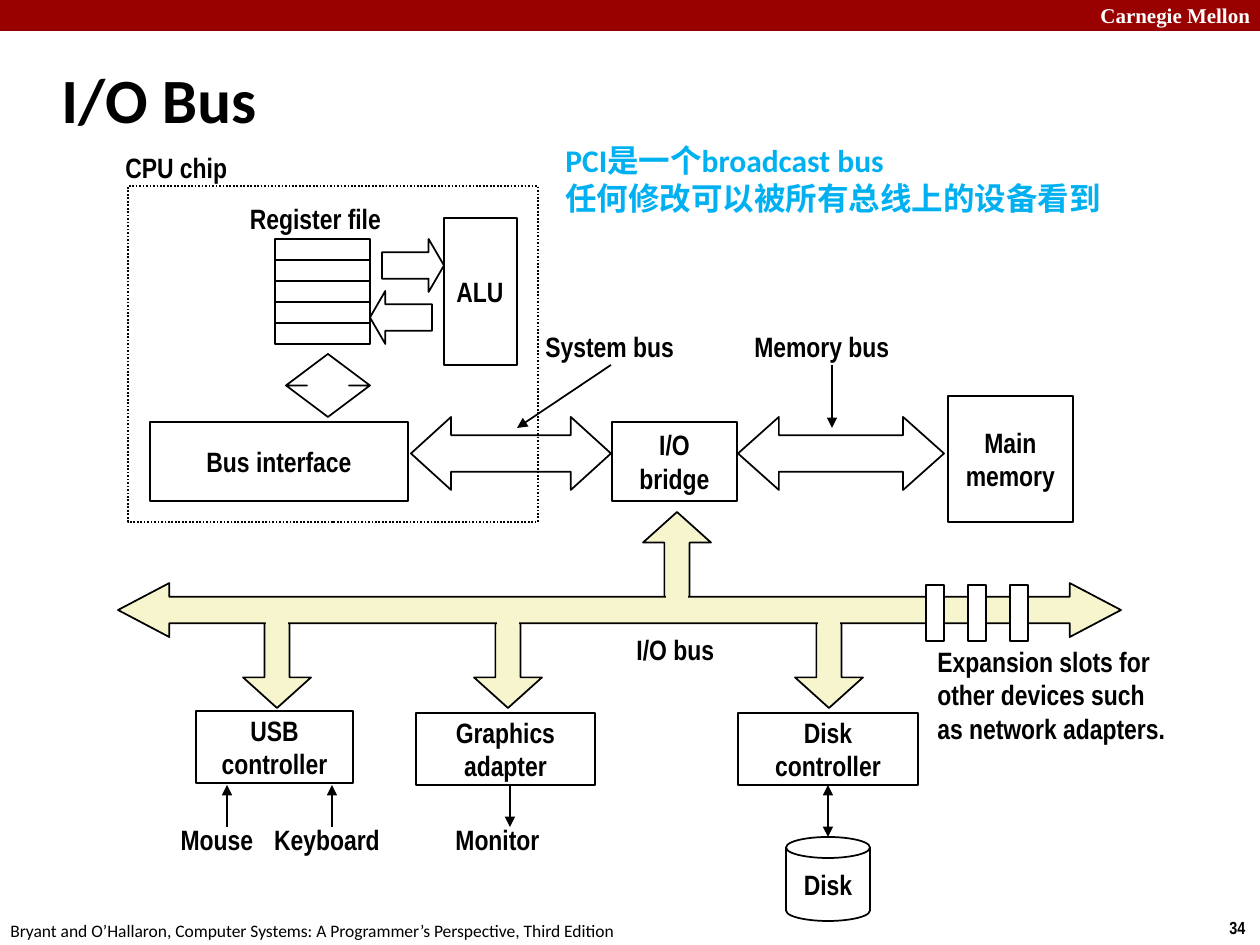
from lxml.etree import SubElement
from pptx import Presentation
from pptx.dml.color import RGBColor
from pptx.enum.dml import MSO_LINE
from pptx.enum.shapes import MSO_CONNECTOR, MSO_SHAPE
from pptx.enum.text import MSO_ANCHOR, PP_ALIGN
from pptx.oxml.ns import qn
from pptx.util import Emu, Pt

PX_PER_INCH = 126
COLORS = {
    "banner": "990000",
    "bus": "F7F5CD",
    "note": "00B0F0",
    "black": "000000",
    "white": "FFFFFF",
}


def px(length):
    return Emu(round(length * 914400 / PX_PER_INCH))


def color(name):
    return RGBColor.from_string(COLORS[name])


def write(frame, text, size=16, font="Arial Narrow", ink="black", bold=True,
          align=PP_ALIGN.LEFT, anchor=MSO_ANCHOR.MIDDLE, wrap=False):
    """Fill a text frame with one paragraph per line of text."""
    frame.word_wrap = wrap
    frame.vertical_anchor = anchor
    for number, line in enumerate(text.split("\n")):
        para = frame.add_paragraph() if number else frame.paragraphs[0]
        para.text = line
        para.alignment = align
        para.font.size = Pt(size)
        para.font.name = font
        para.font.bold = bold
        para.font.color.rgb = color(ink)


def add_label(page, text, left, top, width, height=46, **style):
    box = page.shapes.add_textbox(px(left), px(top), px(width), px(height))
    write(box.text_frame, text, **style)


def add_shape(page, kind, left, top, width, height, fill=None, outline=True,
              adjust=(), text=None, align=PP_ALIGN.CENTER):
    shape = page.shapes.add_shape(kind, px(left), px(top), px(width), px(height))
    shape.shadow.inherit = False
    for number, value in enumerate(adjust):
        shape.adjustments[number] = value
    if fill:
        shape.fill.solid()
        shape.fill.fore_color.rgb = color(fill)
    else:
        shape.fill.background()
    if outline:
        shape.line.color.rgb = color("black")
        shape.line.width = Pt(1)
    else:
        shape.line.fill.background()
    if text:
        write(shape.text_frame, text, align=align)
    return shape


def add_box(page, *place, **style):
    return add_shape(page, MSO_SHAPE.RECTANGLE, *place, **style)


def add_line(page, x1, y1, x2, y2, ends=("tailEnd",)):
    """Draw a thin line with an arrowhead at each of the named ends."""
    line = page.shapes.add_connector(
        MSO_CONNECTOR.STRAIGHT, px(x1), px(y1), px(x2), px(y2))
    line.line.color.rgb = color("black")
    line.line.width = Pt(1)
    outline = line.line._get_or_add_ln()
    for end in ends:
        SubElement(outline, qn("a:" + end), type="triangle")
    SubElement(line._element.spPr, qn("a:effectLst"))
    return line


def add_page_frame(page):
    add_box(page, 0, 0, 1260, 31, fill="banner", outline=False)
    add_label(page, "Carnegie Mellon", 1088, -4, 180, 38, size=12,
              font="Times New Roman", ink="white", anchor=MSO_ANCHOR.TOP, wrap=True)
    add_label(page, "34", 1217, 911, 43, 34, size=10, anchor=MSO_ANCHOR.TOP)
    add_label(page, "Bryant and O’Hallaron, Computer Systems: "
              "A Programmer’s Perspective, Third Edition", -2, 914, 640, 34,
              size=10, font="Calibri", bold=False, anchor=MSO_ANCHOR.TOP)
    add_label(page, "I/O Bus", 49, 46, 1046, 105, size=36, font="Calibri", wrap=True)


def add_cpu(page):
    for row in range(5):
        add_box(page, 275, 239 + 21 * row, 95, 21)
    add_label(page, "Register file", 236, 195, 159, align=PP_ALIGN.CENTER)
    add_shape(page, MSO_SHAPE.RIGHT_ARROW, 382, 239, 62, 53, adjust=(0.5, 0.29))
    add_shape(page, MSO_SHAPE.LEFT_ARROW, 370, 291, 62, 53, adjust=(0.5, 0.29))
    add_box(page, 444, 218, 73, 147, text="ALU", align=PP_ALIGN.LEFT)
    # This preset takes its head length first and its shaft width second.
    add_shape(page, MSO_SHAPE.UP_DOWN_ARROW, 286, 354, 84, 63, adjust=(0.2, 0.5))
    add_box(page, 150, 422, 258, 79, text="Bus interface")
    chip = add_box(page, 128, 186, 410, 336)
    chip.line.dash_style = MSO_LINE.ROUND_DOT
    add_label(page, "CPU chip", 113, 144, 150)


def add_memory_path(page):
    add_box(page, 612, 422, 125, 79, text="I/O\nbridge")
    add_box(page, 948, 396, 125, 126, text="Main\nmemory")
    add_shape(page, MSO_SHAPE.LEFT_RIGHT_ARROW, 411, 417, 200, 73, adjust=(0.5, 0.55))
    add_shape(page, MSO_SHAPE.LEFT_RIGHT_ARROW, 738, 417, 206, 73, adjust=(0.5, 0.56))
    add_label(page, "System bus", 533, 323, 155)
    add_label(page, "Memory bus", 742, 323, 162)
    add_line(page, 611, 365, 517, 428)
    add_line(page, 832, 365, 832, 428)


def add_io_bus(page):
    branch = {"fill": "bus", "adjust": (0.37, 0.45)}
    branch_centers = (277, 508, 829)
    add_shape(page, MSO_SHAPE.UP_ARROW, 643, 512, 68, 94, **branch)
    for center in branch_centers:
        add_shape(page, MSO_SHAPE.DOWN_ARROW, center - 34, 614, 68, 94, **branch)
    add_shape(page, MSO_SHAPE.LEFT_RIGHT_ARROW, 118, 583, 1003, 54,
              fill="bus", adjust=(0.49, 0.95))

    # Patches hide the outlines where the branches meet the bus.
    for center in branch_centers:
        add_box(page, center - 11, 606, 22, 21, fill="bus", outline=False)
    add_box(page, 666, 592, 22, 21, fill="bus", outline=False)

    add_label(page, "I/O bus", 624, 626, 121)
    for slot in range(3):
        add_box(page, 926 + 42 * slot, 585, 18, 56, fill="white")
    add_label(page, "Expansion slots for\nother devices such\nas network adapters.",
              925, 638, 305, 114, anchor=MSO_ANCHOR.TOP)


def add_devices(page):
    add_box(page, 196, 711, 157, 72, text="USB\ncontroller")
    add_box(page, 416, 713, 179, 72, text="Graphics\nadapter")
    disk_controller = add_box(page, 738, 713, 180, 72, text="Disk\ncontroller")
    add_shape(page, MSO_SHAPE.CAN, 786, 837, 84, 84, adjust=(0.25,), text="Disk")

    for x in (227, 332):
        add_line(page, x, 785, x, 827, ends=("headEnd",))
    add_line(page, 510, 785, 510, 827)
    disk_link = add_line(page, 828, 785, 828, 837, ends=("headEnd", "tailEnd"))
    disk_link.begin_connect(disk_controller, 2)

    for name, left, width in (("Mouse", 168, 98), ("Keyboard", 261, 132),
                              ("Monitor", 442, 111)):
        add_label(page, name, left, 816, width, align=PP_ALIGN.CENTER)


def main():
    deck = Presentation()
    deck.slide_width, deck.slide_height = px(1260), px(945)
    page = deck.slides.add_slide(deck.slide_layouts[6])
    add_page_frame(page)
    add_memory_path(page)
    add_cpu(page)
    add_io_bus(page)
    add_devices(page)
    add_label(page, "PCI是一个broadcast bus\n任何修改可以被所有总线上的设备看到",
              553, 135, 566, 89, size=18, font="Calibri", ink="note",
              anchor=MSO_ANCHOR.TOP)
    deck.save("out.pptx")


if __name__ == "__main__":
    main()
